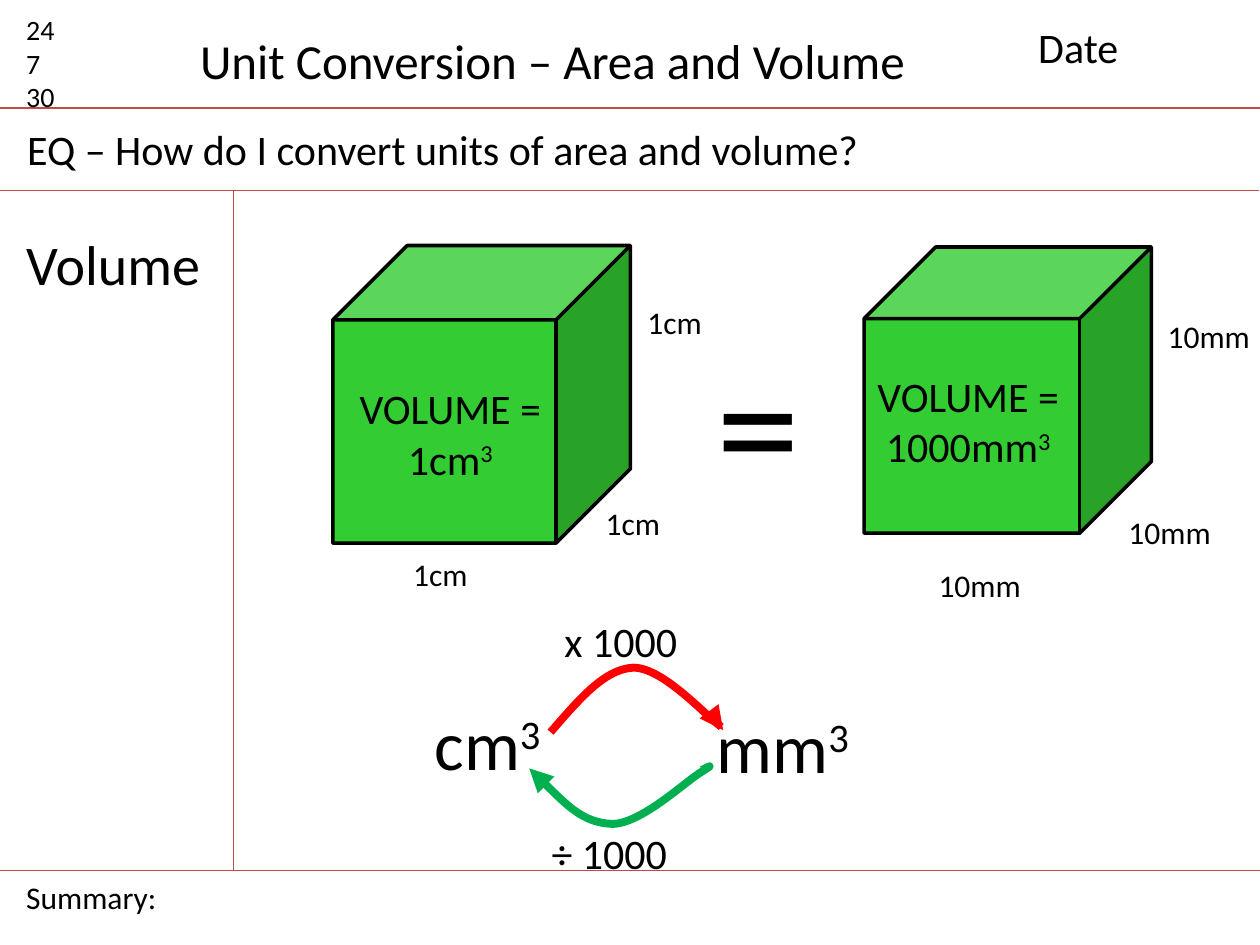
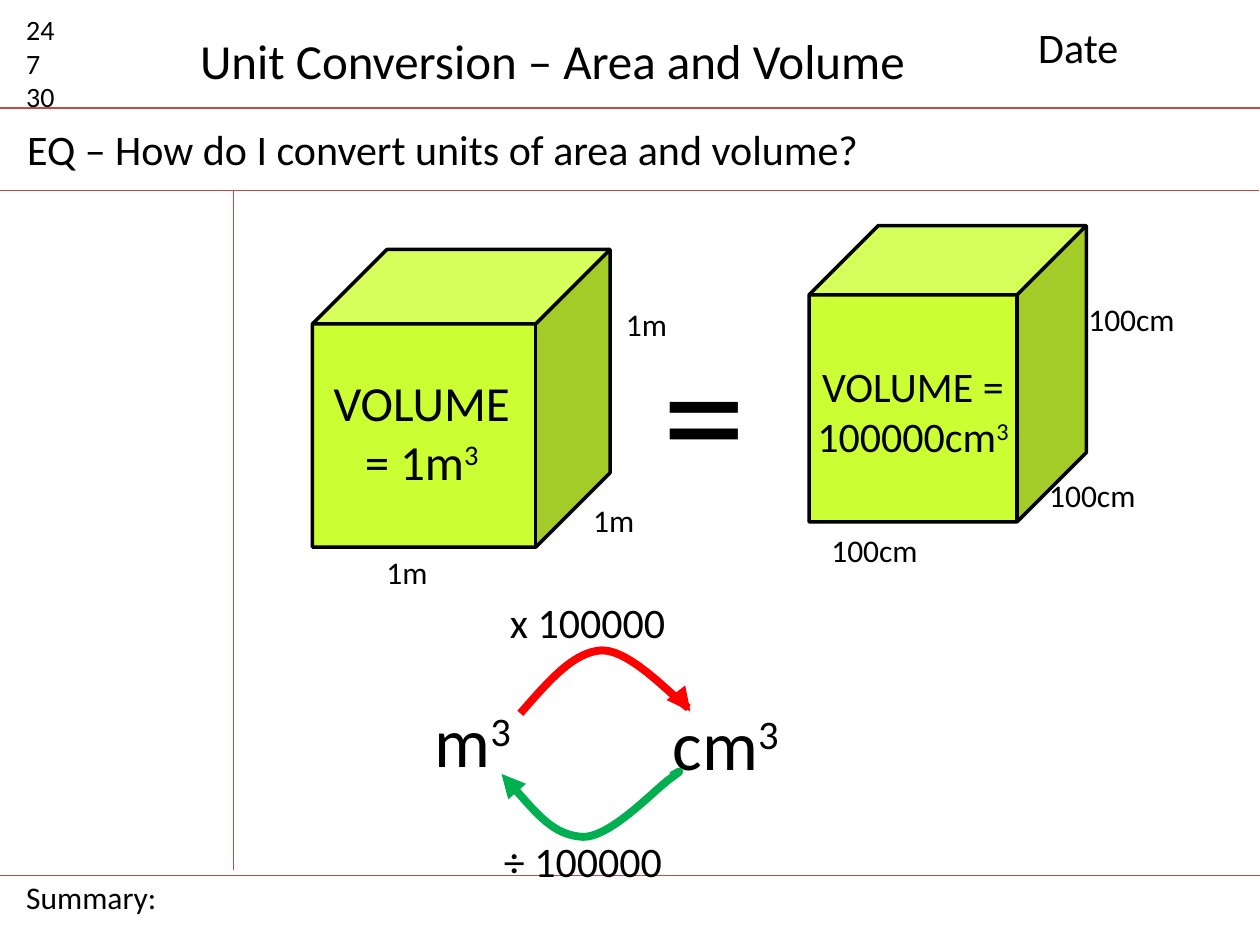
from lxml import etree
from pptx import Presentation
from pptx import util as u
from pptx.dml import color
from pptx.enum import shapes, text
from pptx.oxml import ns

FONT = "Calibri"
BLACK, RULE, RED, GREEN = "000000", "BF4C48", "FF0000", "00B050"
LABEL_HEIGHT, FACTOR_HEIGHT, UNIT_HEIGHT = 1.02, 1.27, 1.96
ARC = [(0.16, 0.49), (0.31, 0.98), (0.48, 1), (0.65, 1), (0.91, 0.22),
       (1, 0.06), (1.08, -0.1), (1.04, -0.03), (1, 0.03)]


def rgb(value):
    return color.RGBColor.from_string(value)


def box(*lengths):
    return [u.Cm(length) for length in lengths]


def write(frame, lines, size, align=text.PP_ALIGN.LEFT):
    for index, line in enumerate(lines):
        paragraph = frame.add_paragraph() if index else frame.paragraphs[0]
        paragraph.alignment = align
        for position, part in enumerate(line.split("^")):
            run = paragraph.add_run()
            run.text = part
            run.font.name = FONT
            run.font.size = u.Pt(size)
            run.font.color.rgb = rgb(BLACK)
            if position:
                run._r.get_or_add_rPr().set("baseline", "30000")


def add_text(slide, place, content, size, align=text.PP_ALIGN.LEFT, wrap=True):
    frame = slide.shapes.add_textbox(*box(*place)).text_frame
    frame.word_wrap = wrap
    write(frame, content.split("\n"), size, align)


def add_title(slide, place, content, size):
    title = slide.shapes.title
    title.left, title.top, title.width, title.height = box(*place)
    frame = title.text_frame
    frame.word_wrap = False
    frame.auto_size = text.MSO_AUTO_SIZE.NONE
    frame.vertical_anchor = text.MSO_ANCHOR.TOP
    write(frame, [content], size)


def add_rule(slide, x1, y1, x2, y2):
    rule = slide.shapes.add_connector(
        shapes.MSO_CONNECTOR.STRAIGHT, *box(x1, y1, x2, y2))
    rule.line.color.rgb = rgb(RULE)
    rule.line.width = u.Pt(0.75)
    etree.SubElement(rule._element.spPr, ns.qn("a:effectLst"))


def add_cube(slide, place, fill, caption, caption_place, size,
             edge, edge_places, edge_width):
    cube = slide.shapes.add_shape(shapes.MSO_SHAPE.CUBE, *box(*place))
    cube.shadow.inherit = False
    cube.fill.solid()
    cube.fill.fore_color.rgb = rgb(fill)
    cube.line.color.rgb = rgb(BLACK)
    cube.line.width = u.Pt(2)
    for left, top in edge_places:
        add_text(slide, (left, top, edge_width, LABEL_HEIGHT), edge, 18)
    add_text(slide, caption_place, caption, size, text.PP_ALIGN.CENTER)


def add_arc(slide, start, width, height, stroke, arrow_end):
    left, top = start
    builder = slide.shapes.build_freeform(*box(left, top))
    builder.add_line_segments(
        [box(left + x * width, top + y * height) for x, y in ARC], close=False)
    arc = builder.convert_to_shape()
    outline = arc._element.spPr.find(".//" + ns.qn("a:path"))
    segments = outline.findall(ns.qn("a:lnTo"))
    for first in range(0, len(segments), 3):
        curve = etree.SubElement(outline, ns.qn("a:cubicBezTo"))
        for segment in segments[first:first + 3]:
            curve.append(segment[0])
            outline.remove(segment)
    arc.shadow.inherit = False
    arc.fill.background()
    arc.line.color.rgb = rgb(stroke)
    arc.line.width = u.Pt(4.5)
    etree.SubElement(arc.line._get_or_add_ln(), ns.qn(arrow_end), type="triangle")


def add_conversion(slide, units, factor, arc_width, up, down):
    for unit, left, top, width in units:
        add_text(slide, (left, top, width, UNIT_HEIGHT), unit, 40)
    for sign, stroke, arrow_end, (start, height, place) in (
            ("x", RED, "a:tailEnd", up), ("÷", GREEN, "a:headEnd", down)):
        add_arc(slide, start, arc_width, height, stroke, arrow_end)
        add_text(slide, (*place, FACTOR_HEIGHT), f"{sign} {factor}", 24)


def add_notes_page(deck, summary_top):
    slide = deck.slides.add_slide(deck.slide_layouts[5])
    add_title(slide, (3.78, 0.48, 14.88, 1.45),
              "Unit Conversion – Area and Volume", 28)
    for ends in ((0, 2.18, 25.4, 2.18), (-0.03, 3.84, 25.37, 3.84),
                 (4.7, 3.84, 4.7, 17.53), (0, summary_top, 25.4, summary_top)):
        add_rule(slide, *ends)
    add_text(slide, (0.28, 0.13, 1.6, 2.31), "24\n7\n30", 16)
    add_text(slide, (20.68, 0.3, 4.39, 1.27), "Date", 24)
    add_text(slide, (0.3, 2.36, 24.79, 1.27),
             "EQ – How do I convert units of area and volume?", 24)
    add_text(slide, (0.28, 17.58, 3.18, 1.02), "Summary:", 18, wrap=False)
    return slide


def add_equals(slide, left, top):
    add_text(slide, (left, top, 2.39, 4.37), "=", 96)


def build_cm_to_mm(deck):
    slide = add_notes_page(deck, 17.55)
    add_text(slide, (0.28, 4.5, 4.29, 1.65), "Volume", 32)
    add_cube(slide, (6.71, 4.95, 6, 6), "33CC33",
             "VOLUME = 1cm^3", (6.78, 7.59, 4.6, 2.31), 24,
             "1cm", [(8.08, 11.07), (11.96, 10.03), (12.8, 5.99)], 2.01)
    add_cube(slide, (17.42, 4.98, 5.79, 5.77), "33CC33",
             "VOLUME = 1000mm^3", (17.02, 7.34, 5, 2.31), 24,
             "10mm", [(18.67, 11.28), (22.5, 10.21), (23.29, 6.27)], 2.39)
    add_equals(slide, 14.2, 6.3)
    add_conversion(slide, [("cm^3", 8.51, 14, 3.81), ("mm^3", 14.2, 14.05, 3.91)],
                   "1000", 3.48,
                   ((11.1, 14.76), -1.3, (11.13, 12.29, 3)),
                   ((10.67, 15.49), 1.12, (10.87, 16.56, 3)))


def build_m_to_cm(deck):
    slide = add_notes_page(deck, 17.65)
    add_cube(slide, (6.3, 5.03, 6, 6), "CCFF33",
             "VOLUME = 1m^3", (6.2, 7.39, 4.6, 2.64), 28,
             "1m", [(7.54, 11.02), (11.71, 9.98), (12.37, 6.02)], 2.01)
    add_cube(slide, (16.31, 4.55, 5.59, 5.97), "CCFF33",
             "VOLUME = 100000cm^3", (15.7, 7.14, 5.41, 2.31), 24,
             "100cm", [(16.51, 10.59), (20.9, 9.47), (21.69, 5.92)], 2.39)
    add_equals(slide, 13.11, 6.05)
    add_conversion(slide, [("m^3", 8.51, 13.94, 3.2), ("cm^3", 13.31, 14, 3.81)],
                   "100000", 3.43,
                   ((10.49, 14.38), -1.27, (10.03, 11.91, 3.73)),
                   ((10.11, 15.6), 1.27, (9.91, 16.71, 3.81)))


def main():
    deck = Presentation()
    deck.slide_width, deck.slide_height = box(25.4, 19.05)
    build_cm_to_mm(deck)
    build_m_to_cm(deck)
    deck.save("out.pptx")


if __name__ == "__main__":
    main()
